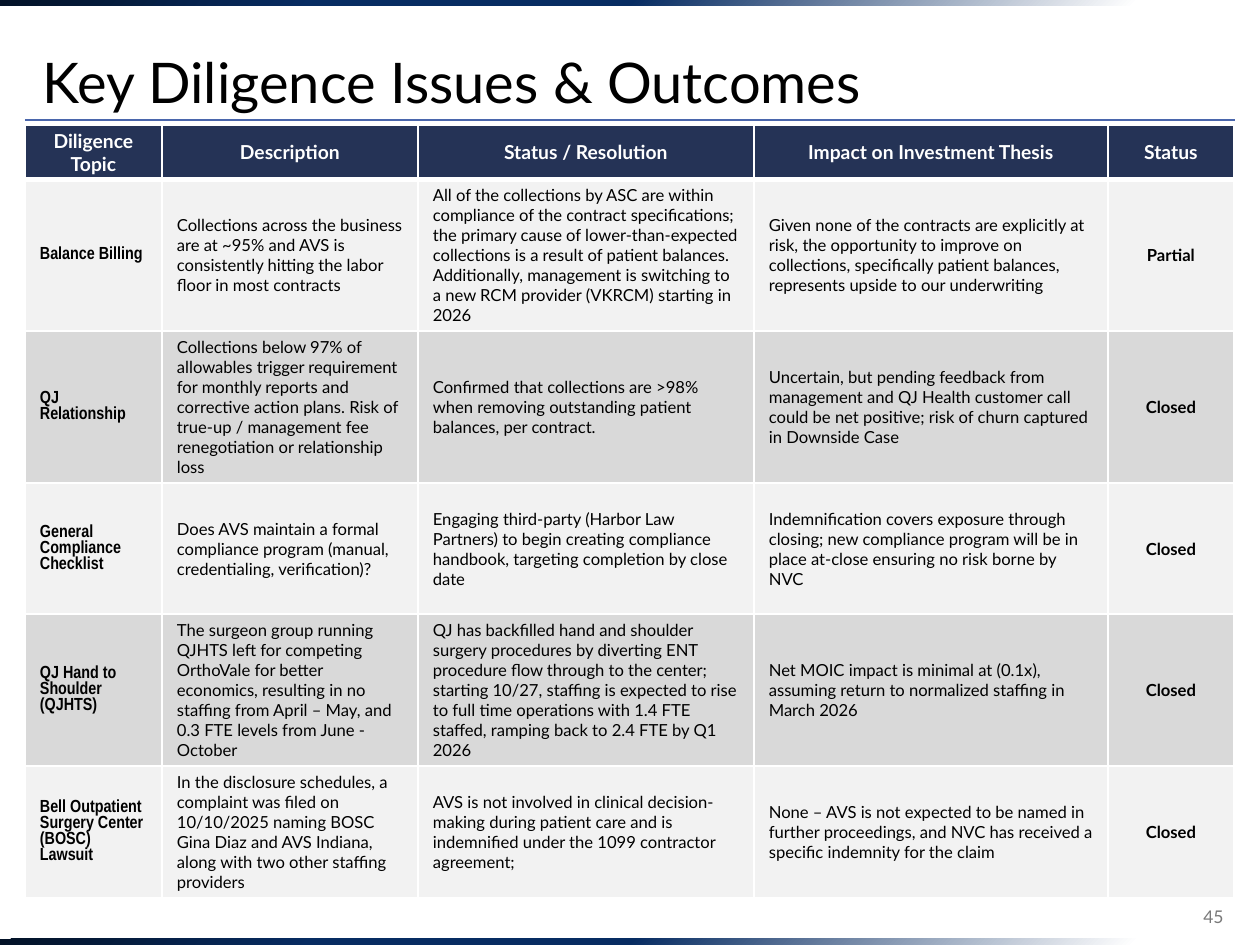
from lxml import etree
from pptx import Presentation
from pptx.dml.color import RGBColor
from pptx.enum.shapes import MSO_CONNECTOR as LINE, MSO_SHAPE as SHAPE
from pptx.enum.text import MSO_ANCHOR as ANCHOR, PP_ALIGN as ALIGN
from pptx.oxml import parse_xml
from pptx.oxml.ns import nsdecls, qn
from pptx.util import Emu, Pt

HUE = {
    "white": "FFFFFF", "black": "000000", "head": "253356", "light": "F2F2F2",
    "dark": "D9D9D9", "rule": "4A66AC", "page": "797979",
    "navy": "072C62", "night": "031227",
}
TITLE = "Key Diligence Issues & Outcomes"
PAGE = "45"
HEADS = ["Diligence Topic", "Description", "Status / Resolution",
         "Impact on Investment Thesis", "Status"]
ISSUES = [
    ("Balance Billing",
     "Collections across the business are at ~95% and AVS is consistently hitting "
     "the labor floor in most contracts",
     "All of the collections by ASC are within compliance of the contract "
     "specifications; the primary cause of lower-than-expected collections is a "
     "result of patient balances. Additionally, management is switching to a new "
     "RCM provider (VKRCM) starting in 2026",
     "Given none of the contracts are explicitly at risk, the opportunity to improve "
     "on collections, specifically patient balances, represents upside to our "
     "underwriting",
     "Partial"),
    ("QJ Relationship",
     "Collections below 97% of allowables trigger requirement for monthly reports and "
     "corrective action plans. Risk of true-up / management fee renegotiation or "
     "relationship loss",
     "Confirmed that collections are >98% when removing outstanding patient balances, "
     "per contract.",
     "Uncertain, but pending feedback from management and QJ Health customer call "
     "could be net positive; risk of churn captured in Downside Case",
     "Closed"),
    ("General Compliance Checklist",
     "Does AVS maintain a formal compliance program (manual, credentialing, "
     "verification)?",
     "Engaging third-party (Harbor Law Partners) to begin creating compliance "
     "handbook, targeting completion by close date",
     "Indemnification covers exposure through closing; new compliance program will be "
     "in place at-close ensuring no risk borne by NVC",
     "Closed"),
    ("QJ Hand to Shoulder (QJHTS)",
     "The surgeon group running QJHTS left for competing OrthoVale for better "
     "economics, resulting in no staffing from April – May, and 0.3 FTE levels from "
     "June - October",
     "QJ has backfilled hand and shoulder surgery procedures by diverting ENT "
     "procedure flow through to the center; starting 10/27, staffing is expected to "
     "rise to full time operations with 1.4 FTE staffed, ramping back to 2.4 FTE by "
     "Q1 2026",
     "Net MOIC impact is minimal at (0.1x), assuming return to normalized staffing in "
     "March 2026",
     "Closed"),
    ("Bell Outpatient Surgery Center (BOSC) Lawsuit",
     "In the disclosure schedules, a complaint was filed on 10/10/2025 naming BOSC "
     "Gina Diaz and AVS Indiana, along with two other staffing providers",
     "AVS is not involved in clinical decision-making during patient care and is "
     "indemnified under the 1099 contractor agreement;",
     "None – AVS is not expected to be named in further proceedings, and NVC has "
     "received a specific indemnity for the claim",
     "Closed"),
]
COLS = [137, 256, 336, 354, 126]
ROWS = [54, 152, 152, 131, 152, 131]
STOPS = [(10, "white"), (50, "navy"), (75, "navy"), (100, "night")]


def px(n):
    return Emu(round(n * 914400 / 126))


def rgb(name):
    return RGBColor.from_string(HUE[name])


def write(frame, text, size, hue, bold=False, face="Lato", align=ALIGN.LEFT):
    para = frame.paragraphs[0]
    para.alignment = align
    run = para.add_run()
    run.text = text
    font = run.font
    font.size, font.bold, font.name = Pt(size), bold, face
    font.color.rgb = rgb(hue)
    return para


def place(shape, *box):
    shape.left, shape.top, shape.width, shape.height = map(px, box)


def add_bar(slide, top, flip):
    """Thin strip with a radial fade from its far corner."""
    bar = slide.shapes.add_shape(SHAPE.RECTANGLE, *map(px, (0, top, 1260, 6)))
    bar.shadow.inherit = False
    bar.line.fill.background()
    stops = "".join(f'<a:gs pos="{at * 1000}"><a:srgbClr val="{HUE[hue]}"/></a:gs>'
                    for at, hue in STOPS)
    fade = parse_xml(
        f'<a:gradFill {nsdecls("a")} rotWithShape="1"><a:gsLst>{stops}</a:gsLst>'
        '<a:path path="circle"><a:fillToRect l="100000" t="100000"/></a:path>'
        '</a:gradFill>')
    props = bar.element.spPr
    props.find(qn("a:prstGeom")).addnext(fade)
    props.find(qn("a:xfrm")).set(flip, "1")


def add_edges(cell, top, bottom):
    props = cell._tc.get_or_add_tcPr()
    widths = {"lnL": 1, "lnR": 1, "lnT": top, "lnB": bottom}
    for i, (tag, width) in enumerate(widths.items()):
        props.insert(i, parse_xml(
            f'<a:{tag} {nsdecls("a")} w="{int(width * 12700)}"><a:solidFill>'
            f'<a:srgbClr val="{HUE["white"]}"/></a:solidFill></a:{tag}>'))


def style(col):
    """Size, weight, face and alignment of a body column."""
    if col == 0:
        return 10, True, "Arial Narrow", ALIGN.LEFT
    last = col == len(COLS) - 1
    return 9.5, last, "Lato", ALIGN.CENTER if last else ALIGN.LEFT


def add_grid(slide):
    grid = slide.shapes.add_table(
        len(ROWS), len(COLS), *map(px, (25, 125, sum(COLS), sum(ROWS)))).table
    for col, width in zip(grid.columns, COLS):
        col.width = px(width)
    for row, height in zip(grid.rows, ROWS):
        row.height = px(height)
    for r, texts in enumerate([HEADS, *ISSUES]):
        for c, text in enumerate(texts):
            cell = grid.cell(r, c)
            cell.vertical_anchor = ANCHOR.MIDDLE
            cell.margin_left = cell.margin_right = px(15)
            cell.margin_top = cell.margin_bottom = px(6 if r else 4)
            cell.fill.solid()
            if r == 0:
                cell.fill.fore_color.rgb = rgb("head")
                write(cell.text_frame, text, 11, "white", True, align=ALIGN.CENTER)
            else:
                cell.fill.fore_color.rgb = rgb("light" if r % 2 else "dark")
                size, bold, face, align = style(c)
                write(cell.text_frame, text, size, "black", bold, face, align)
            add_edges(cell, 1 if r > 1 else 3 if r else 0.25, 1 if r else 3)


def main():
    deck = Presentation()
    deck.slide_width, deck.slide_height = px(1260), px(945)
    slide = deck.slides.add_slide(deck.slide_layouts[5])

    rule = slide.shapes.add_connector(LINE.STRAIGHT, *map(px, (25, 120, 1235, 120)))
    rule.line.color.rgb = rgb("rule")
    rule.line.width = Pt(1.5)
    etree.SubElement(rule.element.spPr, qn("a:effectLst"))
    add_bar(slide, 939, "flipV")
    add_bar(slide, 0, "flipH")

    title = slide.shapes.title
    place(title, 30, 30, 1198, 92)
    title.text_frame.vertical_anchor = ANCHOR.BOTTOM
    write(title.text_frame, TITLE, 32, "black").line_spacing = 0.9

    page = slide.shapes.add_textbox(*map(px, (1029, 892, 207, 50))).text_frame
    page.word_wrap = True
    page.vertical_anchor = ANCHOR.MIDDLE
    write(page, PAGE, 10, "page", align=ALIGN.RIGHT)

    add_grid(slide)
    deck.save("out.pptx")


if __name__ == "__main__":
    main()
